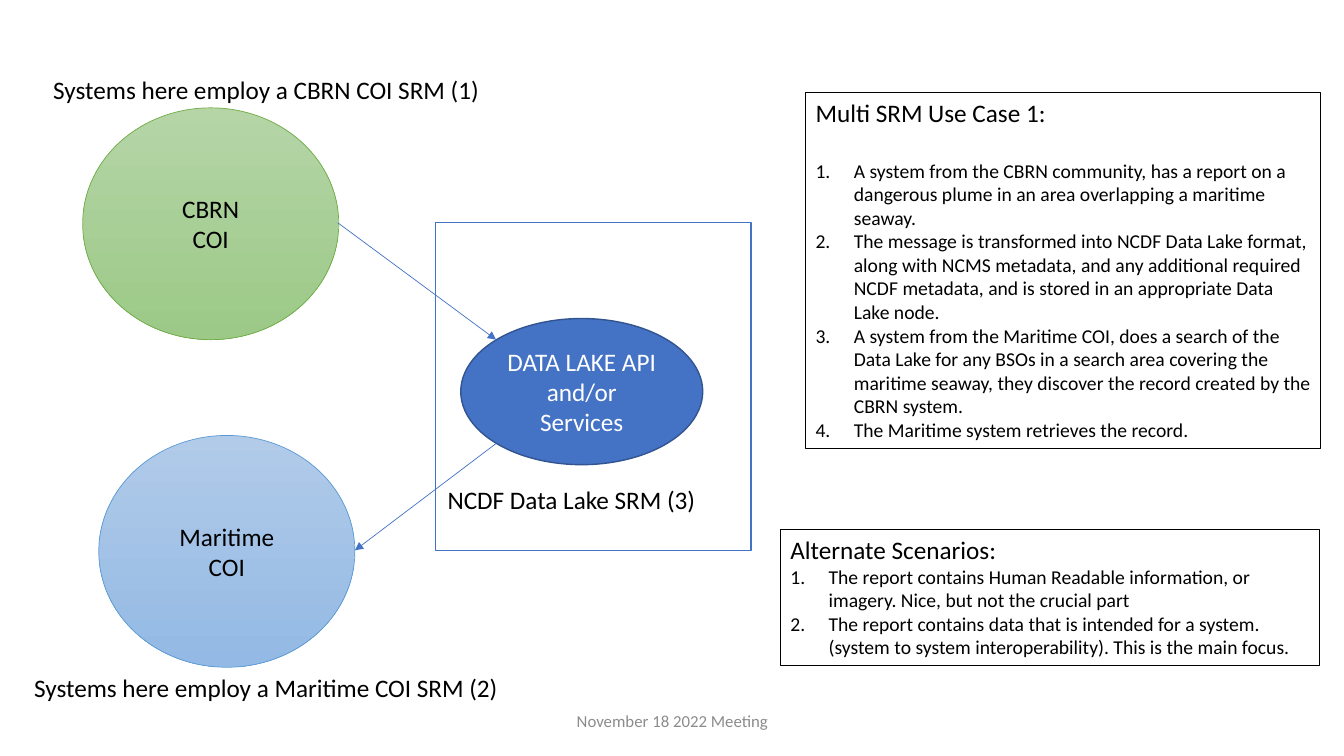
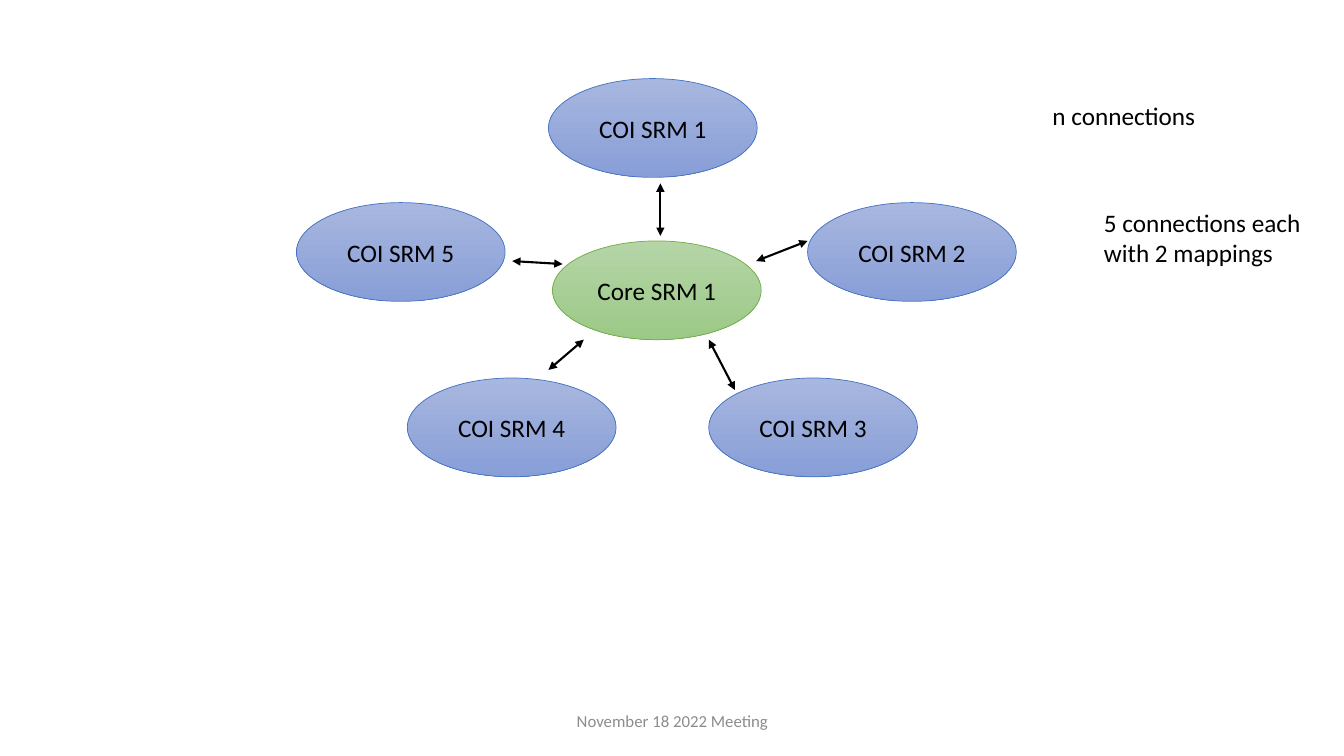
from lxml.etree import SubElement
from pptx import Presentation
from pptx.dml.color import RGBColor
from pptx.enum.shapes import MSO_CONNECTOR as Connector, MSO_SHAPE as Shape
from pptx.enum.text import MSO_ANCHOR as Anchor, PP_ALIGN as Align
from pptx.oxml.ns import qn
from pptx.util import Inches, Pt

FONT = "Calibri"
COLORS = {
    "black": "000000", "white": "FFFFFF", "grey": "8C8C8C",
    "blue": "4472C4", "navy": "325491",
    "sky_line": "5B9BD5", "sky_top": "B1CBE9", "sky_bottom": "93B9E4",
    "green_line": "70AD47", "green_top": "B5D5A7", "green_bottom": "9CC987",
    "iris_top": "A8B7DF", "iris_bottom": "889ED7",
}
GREEN = ("green_top", "green_bottom")
SKY = ("sky_top", "sky_bottom")
IRIS = ("iris_top", "iris_bottom")

FOOTER = "November 18 2022 Meeting"
FOOTER_AT = (4.42, 6.95, 4.5, 0.4)

PANELS = [
    ((7.99, 0.92, 5.11, 3.53), "Multi SRM Use Case 1:", 22, [
        "A system from the CBRN community, has a report on a dangerous plume in an area overlapping a maritime seaway.",
        "The message is transformed into NCDF Data Lake format, along with NCMS metadata, and any additional required NCDF metadata, and is stored in an appropriate Data Lake node.",
        "A system from the Maritime COI, does a search of the Data Lake for any BSOs in a search area covering the maritime seaway, they discover the record created by the CBRN system.",
        "The Maritime system retrieves the record.",
    ]),
    ((7.74, 5.25, 5.35, 1.35), "Alternate Scenarios:", 0, [
        "The report contains Human Readable information, or imagery. Nice, but not the crucial part",
        "The report contains data that is intended for a system. (system to system interoperability). This is the main focus.",
    ]),
]
LAKE_FRAME = (4.32, 2.21, 3.13, 3.25)
LAKE_API = (4.57, 3.16, 2.4, 1.45)
COMMUNITIES = [
    ((0.98, 4.32, 2.54, 2.3), ["Maritime", "COI"], SKY, "sky_line"),
    ((0.82, 1.07, 2.54, 2.3), ["CBRN", "COI"], GREEN, "green_line"),
]
FLOWS = [((3.35, 2.21), (4.92, 3.37)), ((4.92, 4.4), (3.52, 5.46))]
USE_CASE_LABELS = [
    ((4.34, 4.76, 2.69, 0.4), ["NCDF Data Lake SRM (3)"]),
    ((0.43, 0.69, 4.47, 0.4), ["Systems here employ a CBRN COI SRM (1)"]),
    ((0.24, 6.62, 4.85, 0.4), ["Systems here employ a Maritime COI SRM (2)"]),
]

NODE_SIZE = (2.07, 0.98)
COI_NODES = [(5.44, 0.78), (8.01, 2.01), (7.03, 3.75), (4.04, 3.75), (2.94, 2.01)]
CORE_NODE = (5.48, 2.39)
MAPPINGS = [
    ((7.03, 3.37), (7.29, 3.87)),
    ((5.08, 2.59), (5.58, 2.62)),
    ((5.79, 3.37), (5.44, 3.67)),
    ((8.01, 2.39), (7.5, 2.59)),
    ((6.55, 1.82), (6.55, 2.34)),
]
HUB_LABELS = [
    ((10.34, 0.95, 1.67, 0.4), ["n connections"]),
    ((10.85, 2.01, 2.18, 0.71), ["5 connections each", "with 2 mappings"]),
]


def rgb(name):
    return RGBColor.from_string(COLORS[name])


def inches(values):
    return [Inches(value) for value in values]


def style(para, size=18, color="black", align=Align.LEFT):
    para.alignment = align
    para.font.name = FONT
    para.font.size = Pt(size)
    para.font.color.rgb = rgb(color)


def write(frame, lines, **look):
    frame.text = "\n".join(lines)
    for para in frame.paragraphs:
        style(para, **look)


def outline(shape, color, width):
    shape.line.color.rgb = rgb(color)
    shape.line.width = Pt(width)


def add_label(page, at, lines, wrap=False, **look):
    box = page.shapes.add_textbox(*inches(at))
    box.text_frame.word_wrap = wrap
    write(box.text_frame, lines, **look)
    return box


def add_panel(page, at, heading, gap, steps):
    box = add_label(page, at, [heading, *steps], wrap=True)
    outline(box, "black", 0.75)
    title, *items = box.text_frame.paragraphs
    title.space_after = Pt(gap)
    for para in items:
        para.font.size = Pt(14)
        props = para._p.get_or_add_pPr()
        props.set("marL", str(Inches(0.38)))
        props.set("indent", str(-Inches(0.38)))
        number = SubElement(props, qn("a:buAutoNum"), type="arabicPeriod")
        props.insert(0, number)


def add_block(page, kind, at, fill, line, width, lines=(), color="black"):
    shape = page.shapes.add_shape(kind, *inches(at))
    shape.shadow.inherit = False
    if isinstance(fill, tuple):
        shape.fill.gradient()
        shape.fill.gradient_angle = 270
        for stop, name in zip(shape.fill.gradient_stops, fill):
            stop.color.rgb = rgb(name)
    else:
        shape.fill.solid()
        shape.fill.fore_color.rgb = rgb(fill)
    outline(shape, line, width)
    if lines:
        shape.text_frame.vertical_anchor = Anchor.MIDDLE
        write(shape.text_frame, lines, color=color, align=Align.CENTER)


def add_arrow(page, start, end, color, width, heads):
    arrow = page.shapes.add_connector(Connector.STRAIGHT, *inches(start + end))
    outline(arrow, color, width)
    line = arrow.line._get_or_add_ln()
    for head in heads:
        SubElement(line, qn(f"a:{head}"), type="triangle")
    SubElement(arrow._element.spPr, qn("a:effectLst"))


def add_page(deck):
    page = deck.slides.add_slide(deck.slide_layouts[6])
    footer = add_label(page, FOOTER_AT, [FOOTER], wrap=True,
                       size=12, color="grey", align=Align.CENTER)
    footer.text_frame.vertical_anchor = Anchor.MIDDLE
    return page


def build_use_case(deck):
    page = add_page(deck)
    for panel in PANELS:
        add_panel(page, *panel)
    add_block(page, Shape.RECTANGLE, LAKE_FRAME, "white", "blue", 1)
    add_block(page, Shape.OVAL, LAKE_API, "blue", "navy", 1,
              ["DATA LAKE API and/or Services"], "white")
    for at, lines, fill, line in COMMUNITIES:
        add_block(page, Shape.OVAL, at, fill, line, 0.5, lines)
    for start, end in FLOWS:
        add_arrow(page, start, end, "blue", 0.5, ["tailEnd"])
    for at, lines in USE_CASE_LABELS:
        add_label(page, at, lines)


def build_hub(deck):
    page = add_page(deck)
    for number, corner in enumerate(COI_NODES, 1):
        add_block(page, Shape.OVAL, corner + NODE_SIZE, IRIS, "blue", 0.5,
                  [f"COI SRM {number}"])
    add_block(page, Shape.OVAL, CORE_NODE + NODE_SIZE, GREEN, "green_line", 0.5,
              ["Core SRM 1"])
    for start, end in MAPPINGS:
        add_arrow(page, start, end, "black", 1.5, ["headEnd", "tailEnd"])
    for at, lines in HUB_LABELS:
        add_label(page, at, lines)


def main():
    deck = Presentation()
    deck.slide_width, deck.slide_height = inches((13.33, 7.5))
    build_use_case(deck)
    build_hub(deck)
    deck.save("out.pptx")


if __name__ == "__main__":
    main()
